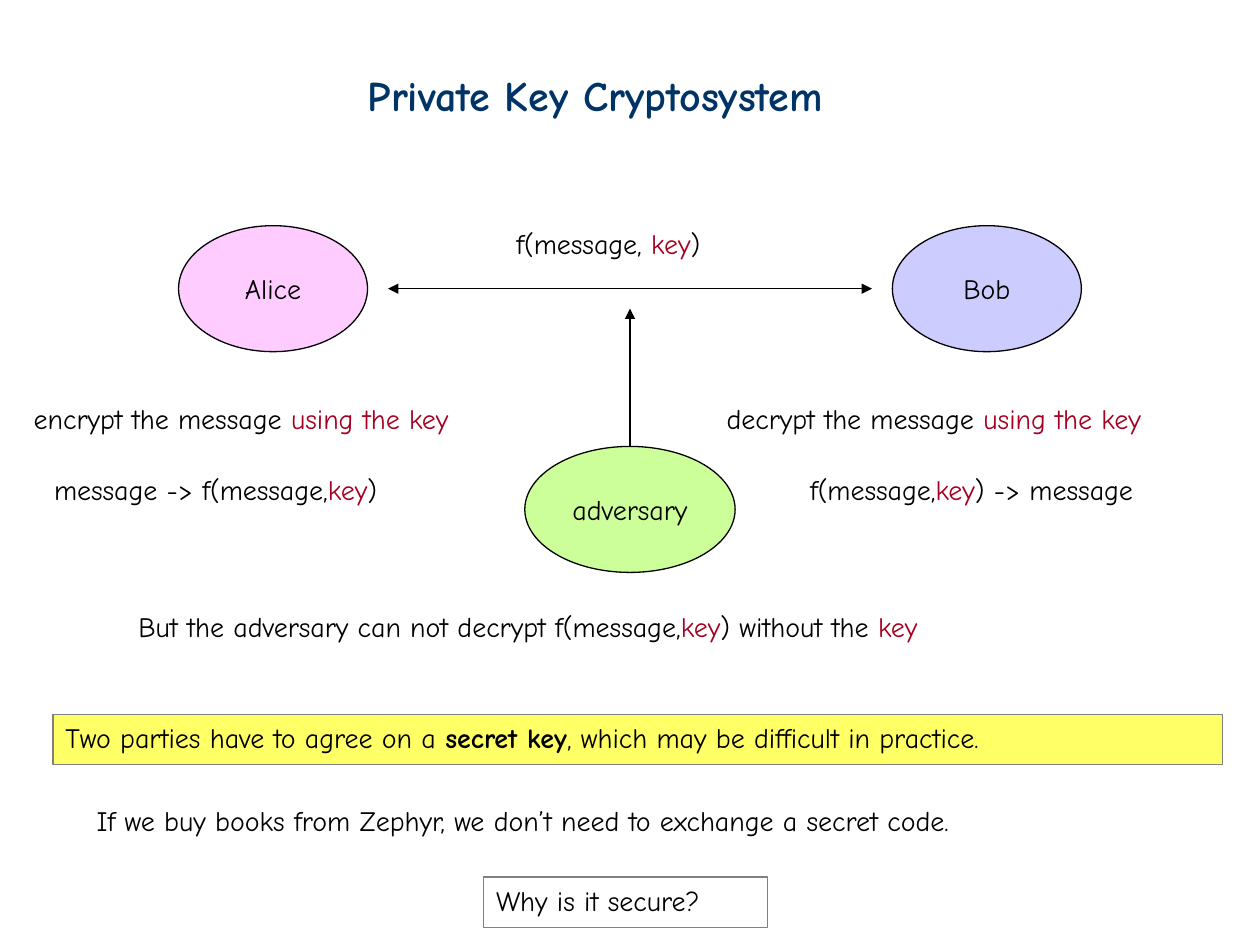
"""Build the slide that explains a private key cryptosystem."""
from lxml.etree import SubElement
from pptx import Presentation
from pptx.dml.color import RGBColor
from pptx.enum.shapes import MSO_CONNECTOR, MSO_SHAPE
from pptx.enum.text import MSO_ANCHOR, PP_ALIGN
from pptx.oxml.ns import qn
from pptx.util import Cm, Pt

FONT = "Comic Neue"
BLACK = RGBColor(0x00, 0x00, 0x00)
NAVY = RGBColor(0x00, 0x33, 0x66)
RED = RGBColor(0xA5, 0x00, 0x21)
GRAY = RGBColor(0x80, 0x80, 0x80)
PINK = RGBColor(0xFF, 0xCC, 0xFF)
LILAC = RGBColor(0xCC, 0xCC, 0xFF)
GREEN = RGBColor(0xCC, 0xFF, 0x99)
YELLOW = RGBColor(0xFF, 0xFF, 0x66)

PLAIN, KEY, STRONG = (BLACK, False), (RED, False), (BLACK, True)
TITLE_STYLE = (NAVY, True)
TITLE = "Private Key Cryptosystem"
SLIDE_WIDTH, SLIDE_HEIGHT = 25.4, 19.05
OVAL_HEIGHT, LINE_HEIGHT = 2.54, 1.02
PARTY_TOP, ADVERSARY_TOP = 4.55, 9
CHANNEL_START = 7.82
ARROW_GAP = 0.4

PARTIES = [
    ("Alice", 3.6, PARTY_TOP, 3.81, PINK),
    ("Bob", 17.99, PARTY_TOP, 3.81, LILAC),
    ("adversary", 10.58, ADVERSARY_TOP, 4.24, GREEN),
]
LABELS = [
    (10.16, 4.45, 5.16, [("f(message, ", PLAIN), ("key", KEY), (")", PLAIN)]),
    (0.43, 7.98, 10.74, [("encrypt the message ", PLAIN), ("using the key", KEY)]),
    (14.4, 7.98, 10.8, [("decrypt the message ", PLAIN), ("using the key", KEY)]),
    (0.84, 9.4, 8.33, [("message -> f(message,", PLAIN), ("key", KEY), (")", PLAIN)]),
    (16.08, 9.4, 8.33, [("f(message,", PLAIN), ("key", KEY), (") -> message", PLAIN)]),
    (2.54, 12.17, 20.22, [("But the adversary can not decrypt f(message,", PLAIN),
                          ("key", KEY), (") without the ", PLAIN), ("key", KEY)]),
    (1.7, 16.08, 21.92, [("If we buy books from Zephyr, we don’t need to "
                          "exchange a secret code.", PLAIN)]),
]
CALLOUTS = [
    (1.07, 14.4, 23.57, YELLOW, [("Two parties have to agree on a ", PLAIN),
                                 ("secret key", STRONG),
                                 (", which may be difficult in practice.", PLAIN)]),
    (9.75, 17.68, 5.72, None, [("Why is it secure?", PLAIN)]),
]


def write(shape, spans, size=16, align=PP_ALIGN.LEFT, anchor=MSO_ANCHOR.TOP):
    """Fill the shape with one paragraph of styled runs."""
    frame = shape.text_frame
    frame.word_wrap = True
    frame.vertical_anchor = anchor
    para = frame.paragraphs[0]
    para.alignment = align
    for text, (color, bold) in spans:
        span = para.add_run()
        span.text = text
        span.font.name = FONT
        span.font.size = Pt(size)
        span.font.bold = bold
        span.font.color.rgb = color


def add_panel(page, kind, bounds, fill, outline):
    """Add an outlined preset shape, unfilled when fill is None."""
    shape = page.shapes.add_shape(kind, *map(Cm, bounds))
    shape.shadow.inherit = False
    if fill is None:
        shape.fill.background()
    else:
        shape.fill.solid()
        shape.fill.fore_color.rgb = fill
    shape.line.color.rgb = outline
    shape.line.width = Pt(0.75)
    return shape


def add_arrow(page, start, end, heads):
    """Add a thin black connector with the given arrowheads."""
    arrow = page.shapes.add_connector(MSO_CONNECTOR.STRAIGHT, *map(Cm, start + end))
    arrow.line.color.rgb = BLACK
    arrow.line.width = Pt(0.75)
    outline = arrow.line._get_or_add_ln()
    for head in heads:
        SubElement(outline, qn(f"a:{head}"), type="triangle")
    SubElement(arrow._element.spPr, qn("a:effectLst"))
    return arrow


def main():
    """Lay out the slide and save it."""
    deck = Presentation()
    deck.slide_width, deck.slide_height = Cm(SLIDE_WIDTH), Cm(SLIDE_HEIGHT)
    page = deck.slides.add_slide(deck.slide_layouts[5])

    title = page.shapes.title
    title.left, title.top, title.width, title.height = map(Cm, (7.16, 1.27, 11.05, 1.27))
    write(title, [(TITLE, TITLE_STYLE)], size=24)

    ovals = {}
    for name, left, top, width, fill in PARTIES:
        bounds = (left, top, width, OVAL_HEIGHT)
        ovals[name] = add_panel(page, MSO_SHAPE.OVAL, bounds, fill, BLACK)
        write(ovals[name], [(name, PLAIN)], align=PP_ALIGN.CENTER,
              anchor=MSO_ANCHOR.MIDDLE)

    channel = PARTY_TOP + OVAL_HEIGHT / 2
    middle = SLIDE_WIDTH / 2
    add_arrow(page, (CHANNEL_START, channel), (SLIDE_WIDTH - CHANNEL_START, channel),
              ("headEnd", "tailEnd"))
    attack = add_arrow(page, (middle, ADVERSARY_TOP), (middle, channel + ARROW_GAP),
                       ("tailEnd",))
    attack.begin_connect(ovals["adversary"], 0)

    for left, top, width, spans in LABELS:
        box = page.shapes.add_textbox(*map(Cm, (left, top, width, LINE_HEIGHT)))
        write(box, spans)
    for left, top, width, fill, spans in CALLOUTS:
        bounds = (left, top, width, LINE_HEIGHT)
        write(add_panel(page, MSO_SHAPE.RECTANGLE, bounds, fill, GRAY), spans)

    deck.save("out.pptx")


if __name__ == "__main__":
    main()
